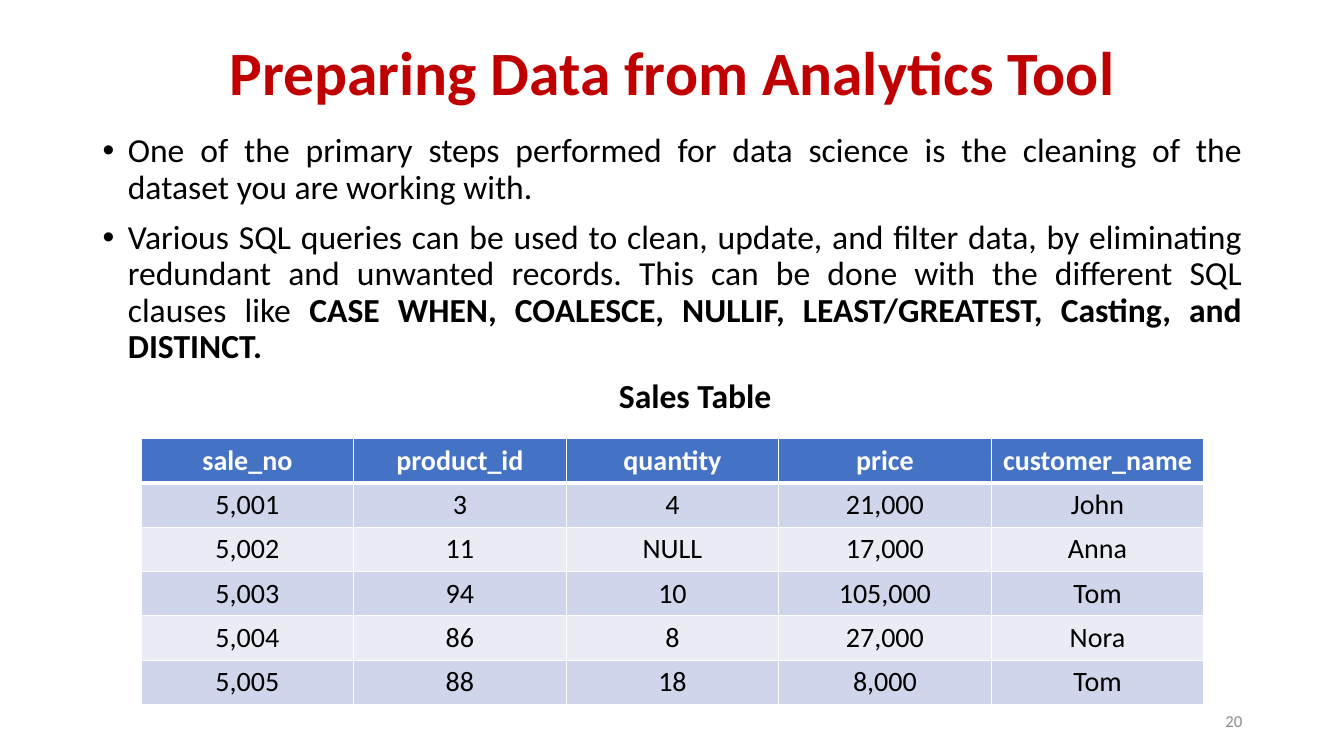
from dataclasses import dataclass

import pptx
import pptx.dml.color
import pptx.enum.text
import pptx.oxml
import pptx.oxml.ns
import pptx.util
from pptx.util import Inches


@dataclass(frozen=True)
class Theme:
    font: str = "Calibri"
    title_color: str = "C00000"
    text_color: str = "000000"
    number_color: str = "8C8C8C"
    white: str = "FFFFFF"
    header_fill: str = "4472C4"
    odd_fill: str = "CFD5EA"
    even_fill: str = "E9EBF5"
    title_size: int = 44
    body_size: int = 24
    table_size: int = 20
    number_size: int = 12


theme = Theme()
align = pptx.enum.text.PP_ALIGN
middle = pptx.enum.text.MSO_ANCHOR.MIDDLE


def style_runs(para, size, color, bold=False):
    for span in para.runs:
        span.font.name = theme.font
        span.font.size = pptx.util.Pt(size)
        span.font.bold = bold
        span.font.color.rgb = pptx.dml.color.RGBColor.from_string(color)


def add_box(left, top, width, height):
    box = page.shapes.add_textbox(Inches(left), Inches(top), Inches(width), Inches(height))
    box.text_frame.word_wrap = True
    return box.text_frame


deck = pptx.Presentation()
deck.slide_width, deck.slide_height = Inches(13.33), Inches(7.5)
page = deck.slides.add_slide(deck.slide_layouts[6])

# Title
title = add_box(0.92, 0.02, 11.5, 1.45)
title.vertical_anchor = middle
title.text = "Preparing Data from Analytics Tool"
para = title.paragraphs[0]
para.alignment = align.CENTER
para.line_spacing = 0.9
style_runs(para, theme.title_size, theme.title_color, True)

# Bullets and table caption: plain text, bold text, bulleted
body_paragraphs = [
    ("One of the primary steps performed for data science is the cleaning of the "
     "dataset you are working with.", "", True),
    ("Various SQL queries can be used to clean, update, and filter data, by eliminating "
     "redundant and unwanted records. This can be done with the different SQL clauses like ",
     "CASE WHEN, COALESCE, NULLIF, LEAST/GREATEST, Casting, and DISTINCT.", True),
    ("", "Sales Table", False),
]
body = add_box(0.92, 1.28, 11.5, 4.76)
for index, (plain, strong, bulleted) in enumerate(body_paragraphs):
    para = body.paragraphs[0] if index == 0 else body.add_paragraph()
    para.text = plain
    para.alignment = align.JUSTIFY if bulleted else align.CENTER
    para.line_spacing = 0.9
    if index:
        para.space_before = pptx.util.Pt(10)
    properties = para._p.get_or_add_pPr()
    properties.set("marL", str(Inches(0.25 if bulleted else 0.45)))
    if bulleted:
        properties.set("indent", str(Inches(-0.25)))
        for tag, name, value in (("buFont", "typeface", "Arial"), ("buChar", "char", "•")):
            bullet = pptx.oxml.ns.qn(f"a:{tag}")
            properties.append(properties.makeelement(bullet, {name: value}))
    style_runs(para, theme.body_size, theme.text_color)
    if strong:
        span = para.add_run()
        span.text = strong
        span.font.name = theme.font
        span.font.size = pptx.util.Pt(theme.body_size)
        span.font.bold = True
        span.font.color.rgb = pptx.dml.color.RGBColor.from_string(theme.text_color)

# Page number
number = add_box(9.42, 6.95, 3, 0.4)
number.vertical_anchor = middle
number.text = "20"
number.paragraphs[0].alignment = align.RIGHT
style_runs(number.paragraphs[0], theme.number_size, theme.number_color)

# Sales table
sales = [
    ["sale_no", "product_id", "quantity", "price", "customer_name"],
    ["5,001", "3", "4", "21,000", "John"],
    ["5,002", "11", "NULL", "17,000", "Anna"],
    ["5,003", "94", "10", "105,000", "Tom"],
    ["5,004", "86", "8", "27,000", "Nora"],
    ["5,005", "88", "18", "8,000", "Tom"],
]
table = page.shapes.add_table(
    len(sales), len(sales[0]), Inches(1.4), Inches(4.35), Inches(10.54), Inches(2.64)).table
for row_index, values in enumerate(sales):
    header = row_index == 0
    fill = theme.header_fill if header else (theme.even_fill, theme.odd_fill)[row_index % 2]
    for column_index, value in enumerate(values):
        cell = table.cell(row_index, column_index)
        cell.text = value
        para = cell.text_frame.paragraphs[0]
        para.alignment = align.CENTER
        style_runs(para, theme.table_size, theme.white if header else theme.text_color, header)

        # White borders, thicker between header and data
        for side in "LRTB":
            thick = (header and side == "B") or (row_index == 1 and side == "T")
            width = pptx.util.Pt(3 if thick else 1)
            cell._tc.get_or_add_tcPr().append(pptx.oxml.parse_xml(
                f'<a:ln{side} {pptx.oxml.ns.nsdecls("a")} w="{width}"><a:solidFill>'
                f'<a:srgbClr val="{theme.white}"/></a:solidFill></a:ln{side}>'))
        cell.fill.solid()
        cell.fill.fore_color.rgb = pptx.dml.color.RGBColor.from_string(fill)

deck.save("out.pptx")
